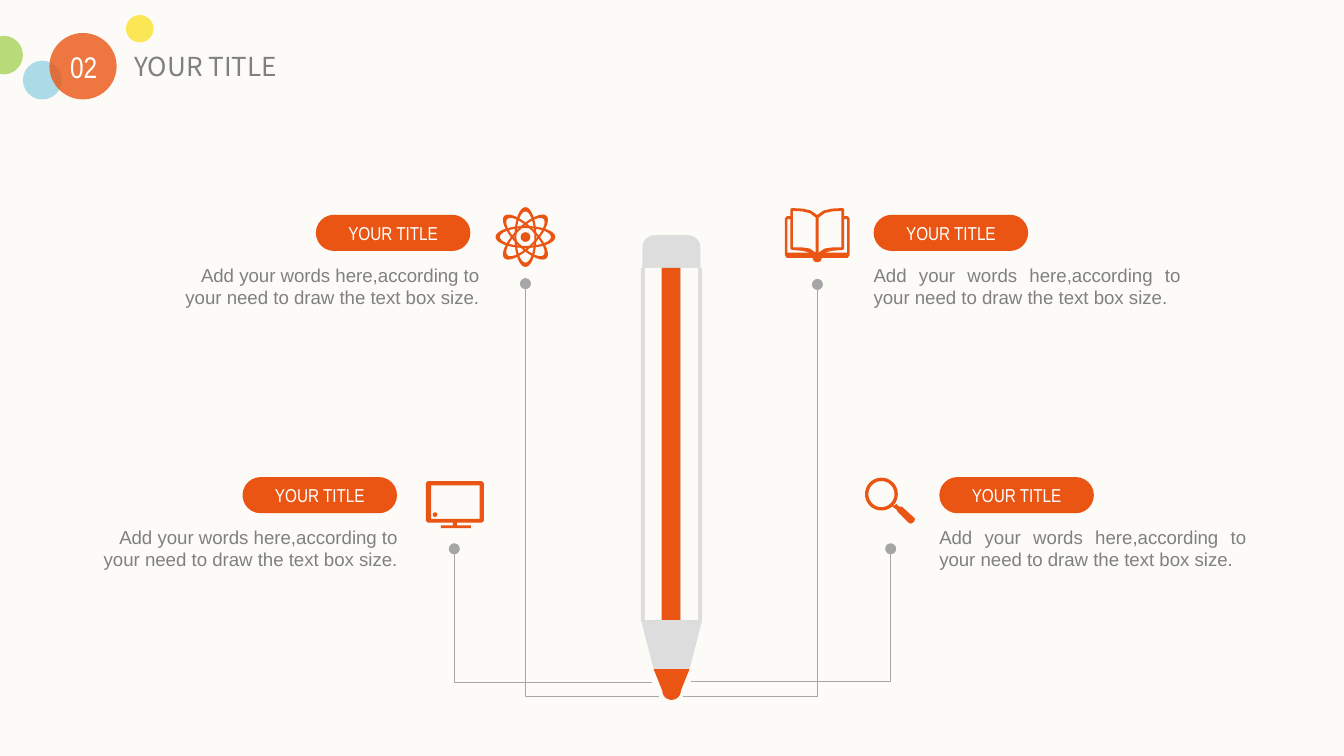
from math import cos, radians, sin

from lxml import etree
from pptx import Presentation
from pptx import util as u
from pptx.dml.color import RGBColor
from pptx.enum import shapes, text
from pptx.oxml.ns import qn

ORANGE, GREY, PAPER, SILVER = "EA5514", "808080", "FCFBF7", "DDDDDD"
OVAL = shapes.MSO_SHAPE.OVAL
RECTANGLE = shapes.MSO_SHAPE.RECTANGLE
ROUNDED = shapes.MSO_SHAPE.ROUNDED_RECTANGLE
LEFT, CENTER, RIGHT, JUSTIFY = (
    text.PP_ALIGN.LEFT, text.PP_ALIGN.CENTER, text.PP_ALIGN.RIGHT, text.PP_ALIGN.JUSTIFY)

deck = Presentation()
deck.slide_width, deck.slide_height = u.Pt(720), u.Pt(405)
page = deck.slides.add_slide(deck.slide_layouts[6])


def paint(fill, colour):
    fill.solid()
    fill.fore_color.rgb = RGBColor.from_string(colour)


def outline(contours, colour=ORANGE, closed=True):
    contours = [[(u.Pt(x), u.Pt(y)) for x, y in contour] for contour in contours]
    builder = page.shapes.build_freeform(*contours[0][0])
    for contour in contours:
        if contour is not contours[0]:
            builder.move_to(*contour[0])
        builder.add_line_segments(contour[1:], close=closed)
    shape = builder.convert_to_shape()
    shape.shadow.inherit = False
    if closed:
        paint(shape.fill, colour)
        shape.line.fill.background()
    else:
        shape.fill.background()
        paint(shape.line.fill, colour)
    return shape


paint(page.background.fill, PAPER)
turns = [radians(degree) for degree in range(0, 360, 10)]

spine = 437.8
cover = [(0, 115.2), (3.5, 112.8), (8, 111.8), (13.7, 111.5), (14.4, 112.3), (14.4, 115.9),
         (16.3, 115.9), (17.3, 117), (17.3, 136.8), (16.3, 138.2), (2.5, 138.2), (1.9, 139.8),
         (0.8, 140.4)]
leaf = [(0.8, 116.6), (4, 114.2), (8, 113.3), (13, 113), (13, 132.5), (8, 132.6), (4, 133.2),
        (0.8, 135.4)]
edge = [(16, 117.4), (16, 135.4), (3.6, 135.4), (8, 134.4), (13.7, 133.9), (14.4, 133.2),
        (14.4, 117.4)]
book = [[(spine + x, y) for x, y in cover] + [(spine - x, y) for x, y in reversed(cover)]]
for side in (-1, 1):
    book += [[(spine + side * x, y) for x, y in half] for half in (leaf, edge)]
outline(book)

for start, bottom, end in [((281.5, 152), 373, 353), ((243.4, 294), 365.4, 349.2),
                           ((437.9, 152.4), 373, 365.8), ((477.2, 294), 365, 370.1)]:
    leader = outline([[start, (start[0], bottom), (end, bottom)]], "A6A6A6", closed=False)
    leader.line.width = u.Pt(0.5)
    etree.SubElement(leader.line._get_or_add_ln(), qn("a:headEnd"), type="oval")

lens = [[(472.2 + radius * cos(turn), 264.7 + radius * sin(turn)) for turn in turns]
        for radius in (8.8, 7)]
handle = [(478.1, 271.4), (480.2, 272.9), (481, 274.3), (486.7, 280), (488, 280.6),
          (489.6, 279.6), (490.2, 278), (489.6, 277.2), (483.1, 271.4), (481.7, 271.4),
          (480.2, 270)]
outline(lens + [handle])

for tilt in map(radians, (0, 45, 90, 135)):
    outline([[(281.5 + long * cos(turn) * cos(tilt) - short * sin(turn) * sin(tilt),
               127 + long * cos(turn) * sin(tilt) + short * sin(turn) * cos(tilt))
              for turn in turns] for long, short in ((16, 5.9), (13.7, 4.8))])

frame = [(229.2, 257.8), (258.2, 257.8), (259.2, 258.8), (259.2, 279), (258.2, 280),
         (244.8, 280), (244.8, 281.4), (252.3, 281.4), (252.3, 282.9), (236.2, 282.9),
         (236.2, 281.4), (242.6, 281.4), (242.6, 280), (229.2, 280), (228.2, 279),
         (228.2, 258.8)]
screen = [(231, 260), (257, 260), (257, 278), (231, 278)]
button = [(233.1, 275.7), (234.2, 274.6), (233.1, 273.5), (232, 274.6)]
button = [(233.1 + 1.2 * cos(turn), 275.7 + 1.2 * sin(turn)) for turn in turns]
outline([frame, screen, button])

for kind, left, top, width, height, colour, alpha in [
        (OVAL, 278.9, 124.4, 5.2, 5.2, ORANGE, 100),
        (ROUNDED, 344.2, 126, 31, 54, SILVER, 100),
        (RECTANGLE, 343.4, 143.5, 32.8, 188.7, SILVER, 100),
        (RECTANGLE, 345.4, 143.5, 9.2, 188.7, PAPER, 100),
        (RECTANGLE, 364.6, 143.5, 9.4, 188.7, PAPER, 100),
        (RECTANGLE, 354.5, 143.5, 10.1, 188.7, ORANGE, 100),
        (OVAL, 67.5, 8.1, 14.8, 14.6, "FBE22D", 80),
        (OVAL, -8.4, 19.2, 20.7, 20.7, "A9D25A", 80),
        (OVAL, 12.3, 32.5, 20.8, 20.8, "98D2E3", 80),
        (OVAL, 26.5, 17.7, 36, 35.6, ORANGE, 80)]:
    shape = page.shapes.add_shape(kind, u.Pt(left), u.Pt(top), u.Pt(width), u.Pt(height))
    shape.shadow.inherit = False
    shape.line.fill.background()
    paint(shape.fill, colour)
    if kind == ROUNDED:
        shape.adjustments[0] = 0.21
    if alpha < 100:
        tone = shape.fill._xPr.find(".//" + qn("a:srgbClr"))
        etree.SubElement(tone, qn("a:alpha"), val=str(alpha * 1000))

outline([[(343.4, 332.2), (376.2, 332.2), (369.4, 358.5), (350.2, 358.5)]], SILVER)
tip = [(359.8 + 5 * cos(radians(degree)), 370 + 5 * sin(radians(degree)))
       for degree in range(0, 181, 15)]
outline([[(350.2, 358.5), (369.4, 358.5)] + tip])

labels = [(31.9, 26.1, 25.9, 19.4, "02", 16, "Arial Narrow", "FFFFFF", CENTER, False),
          (72, 27.2, 219, 17.3, "YOUR TITLE", 14, "Noto Sans CJK SC", GREY, LEFT, False)]
for pill_left, words_left, top, align in [(468, 468, 115.1, JUSTIFY), (503.2, 503.2, 255.6, JUSTIFY),
                                          (169.2, 92.3, 115.1, RIGHT), (129.9, 48.5, 255.6, RIGHT)]:
    labels += [(words_left, top + 26, 164.3, 24.5,
                "Add your words here,according to your need to draw the text box size.",
                10, "Arial", GREY, align, False),
               (pill_left, top, 82.8, 19.4, "YOUR TITLE", 10, "Arial Narrow", "FFFFFF", CENTER, True)]

for left, top, width, height, words, size, font, colour, align, pill in labels:
    place = u.Pt(left), u.Pt(top), u.Pt(width), u.Pt(height)
    if pill:
        box = page.shapes.add_shape(ROUNDED, *place)
        box.adjustments[0] = 0.5
        box.shadow.inherit = False
        box.line.fill.background()
        paint(box.fill, ORANGE)
        box.text_frame.vertical_anchor = text.MSO_ANCHOR.MIDDLE
    else:
        box = page.shapes.add_textbox(*place)
        body = box.text_frame
        body.margin_left = body.margin_right = body.margin_top = body.margin_bottom = 0
        body.auto_size = text.MSO_AUTO_SIZE.SHAPE_TO_FIT_TEXT
    box.text_frame.word_wrap = True
    box.text_frame.text = words
    para = box.text_frame.paragraphs[0]
    para.alignment = align
    span = para.runs[0]
    span.font.size, span.font.name = u.Pt(size), font
    paint(span.font.fill, colour)

deck.save("out.pptx")
